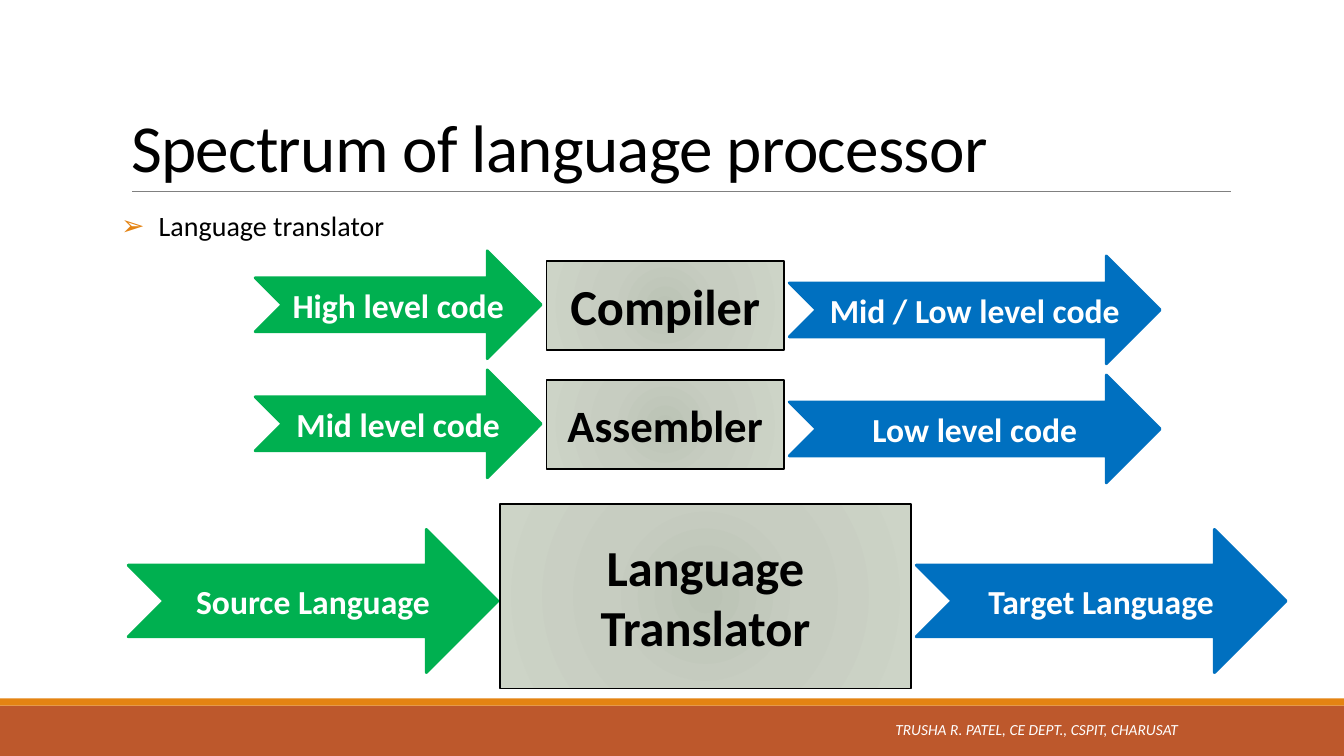
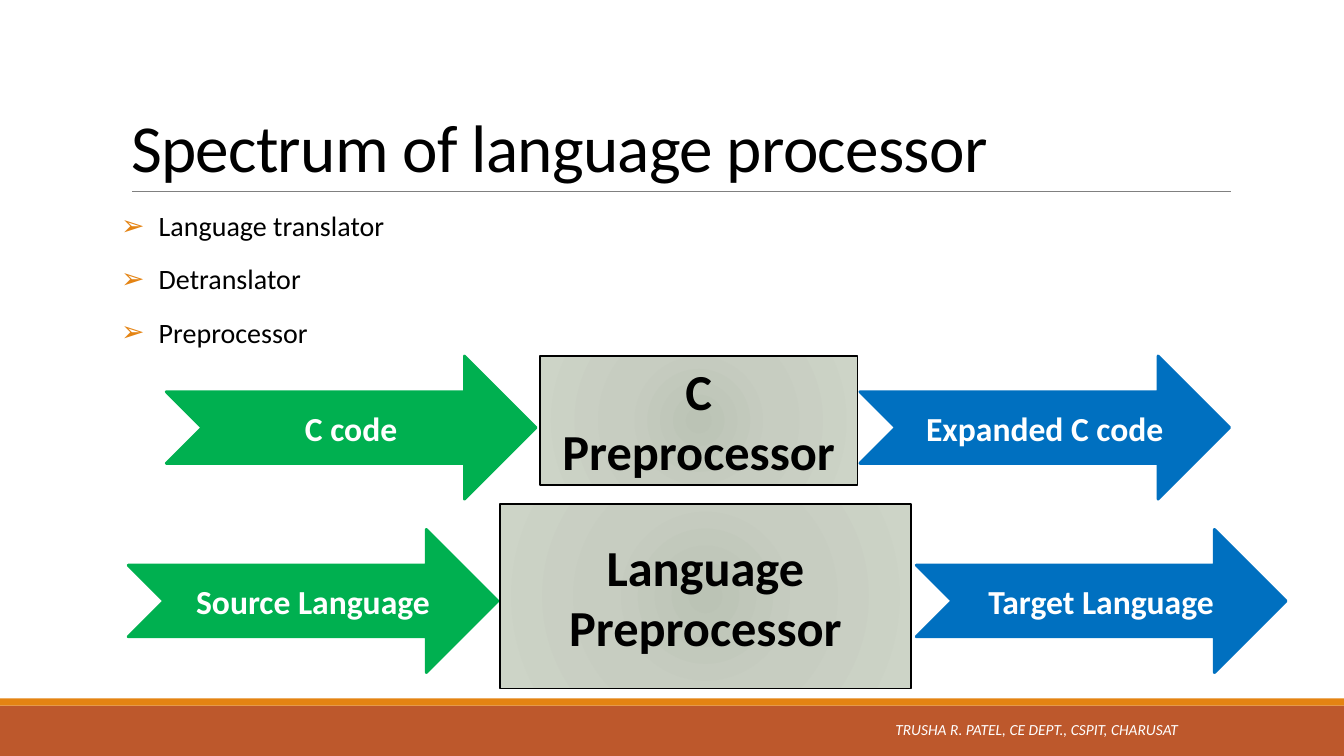
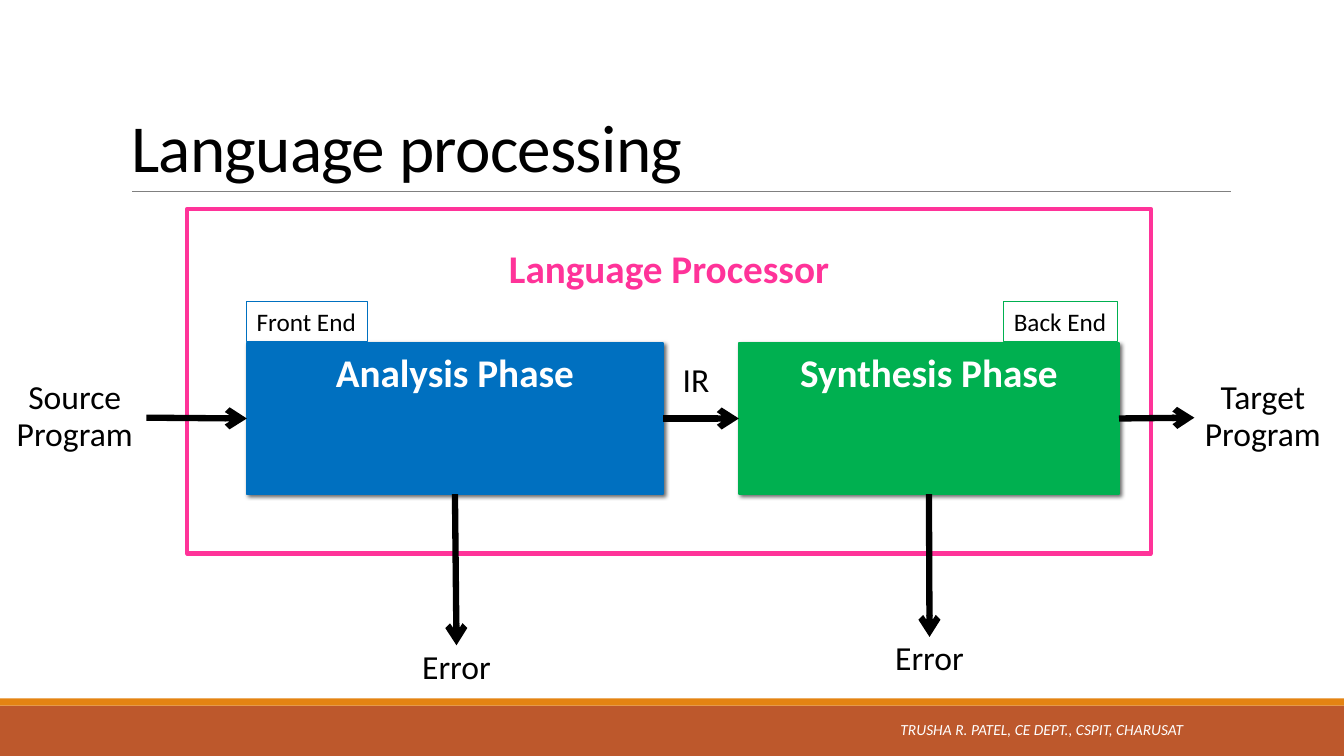
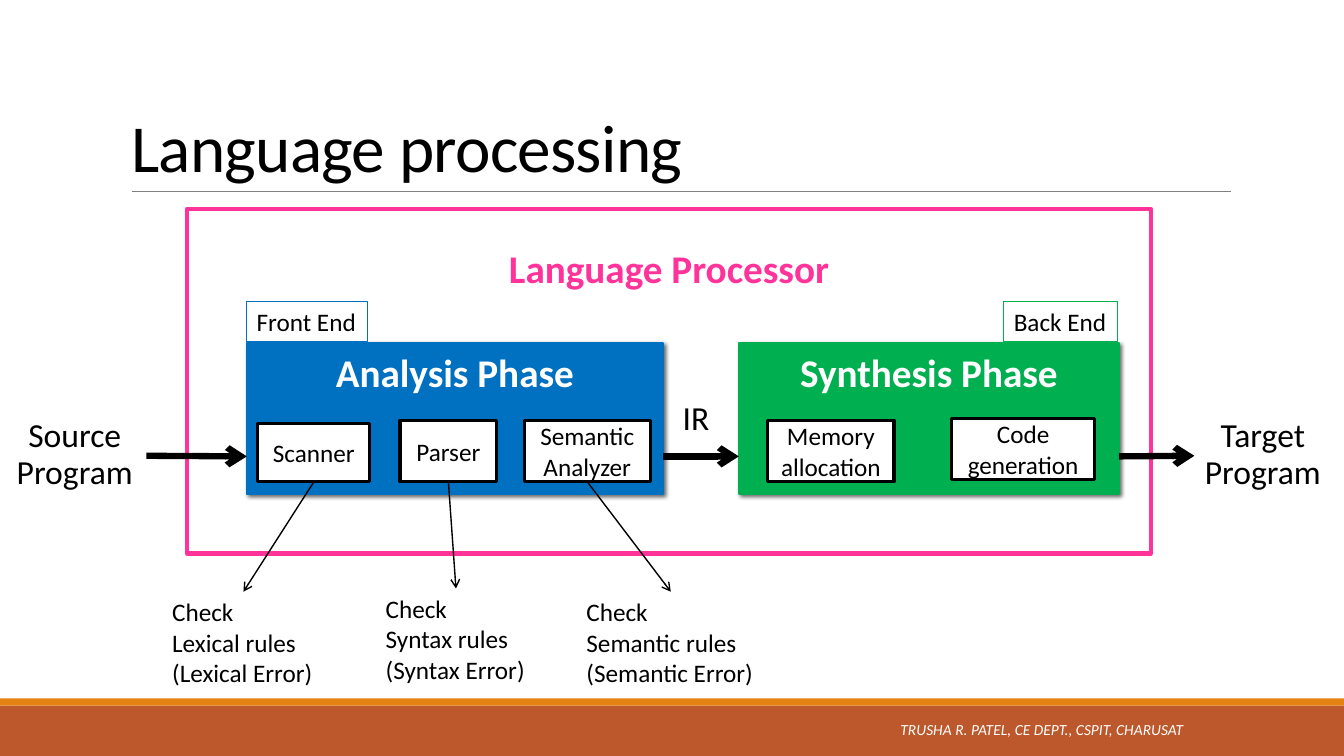
from lxml import etree
from pptx import Presentation, oxml
from pptx import util as u
from pptx.dml.color import RGBColor
from pptx.enum import shapes, text
from pptx.oxml import ns

COLORS = {
    "black": "000000", "white": "FFFFFF", "green": "00B050", "blue": "0070C0",
    "pink": "FF3399", "rust": "BD582C", "orange": "E48312", "gray": "808080",
}
FONT = "Calibri"
RECTANGLE = shapes.MSO_SHAPE.RECTANGLE
ARROW = shapes.MSO_SHAPE.NOTCHED_RIGHT_ARROW
STRAIGHT = shapes.MSO_CONNECTOR.STRAIGHT
CENTER, LEFT, RIGHT = text.PP_ALIGN.CENTER, text.PP_ALIGN.LEFT, text.PP_ALIGN.RIGHT
TOP, MIDDLE, BOTTOM = text.MSO_ANCHOR.TOP, text.MSO_ANCHOR.MIDDLE, text.MSO_ANCHOR.BOTTOM
GRADIENT = (
    f'<a:gradFill {ns.nsdecls("a")} rotWithShape="1"><a:gsLst>'
    '<a:gs pos="0"><a:srgbClr val="BBC3B5"/></a:gs>'
    '<a:gs pos="45000"><a:srgbClr val="C7CDC1"/></a:gs>'
    '<a:gs pos="100000"><a:srgbClr val="CDD4C7"/></a:gs></a:gsLst>'
    '<a:path path="circle"><a:fillToRect l="50000" t="50000" r="50000" b="50000"/></a:path>'
    '</a:gradFill>'
)
SHADOW = (
    f'<a:outerShdw {ns.nsdecls("a")} blurRad="38100" dist="25400" dir="2700000" '
    'algn="ctr" rotWithShape="0">'
    '<a:srgbClr val="000000"><a:alpha val="60000"/></a:srgbClr></a:outerShdw>'
)


def write(shape, words, size=18, color="black", bold=False, italic=False, align=CENTER,
          anchor=MIDDLE, spacing=None, wrap=True):
    frame = shape.text_frame
    frame.word_wrap = wrap
    frame.vertical_anchor = anchor
    frame.text = words
    for paragraph in frame.paragraphs:
        paragraph.alignment = align
        paragraph.line_spacing = spacing
        font = paragraph.runs[0].font
        font.name, font.size, font.bold, font.italic = FONT, u.Pt(size), bold, italic
        font.color.rgb = RGBColor.from_string(COLORS[color])
    return shape


def add_box(slide, kind, left, top, width, height, fill=None, line=None, weight=1):
    place = [u.Cm(value) for value in (left, top, width, height)]
    if kind is None:
        return slide.shapes.add_textbox(*place)
    shape = slide.shapes.add_shape(kind, *place)
    shape.shadow.inherit = False
    if fill:
        shape.fill.solid()
        shape.fill.fore_color.rgb = RGBColor.from_string(COLORS[fill])
    else:
        shape.fill.background()
    if line:
        shape.line.color.rgb = RGBColor.from_string(COLORS[line])
        shape.line.width = u.Pt(weight)
    else:
        shape.line.fill.background()
    return shape


presentation = Presentation()
presentation.slide_width, presentation.slide_height = u.Cm(33.87), u.Cm(19.05)
master = presentation.slide_master
for placeholder, place in zip(master.placeholders, [(3.05, 0.79, 27.94, 4.04),
                                                    (3.05, 5.13, 27.94, 11.18)]):
    placeholder.left, placeholder.top, placeholder.width, placeholder.height = map(u.Cm, place)

slides = []
for title, layout, footer_left in [
    ("Spectrum of language processor", 1, 16.56),
    ("Spectrum of language processor", 1, 16.56),
    ("Language processing", 5, 16.69),
    ("Language processing", 5, 16.69),
]:
    slide = presentation.slides.add_slide(presentation.slide_layouts[layout])
    slides.append(slide)
    heading = write(slide.shapes.title, title, size=48, align=LEFT, anchor=BOTTOM, spacing=0.85)
    heading.text_frame.paragraphs[0].runs[0].font._element.set("spc", "-50")
    footer = add_box(slide, None, footer_left, 17.86, 13.39, 1.02)
    write(footer, "TRUSHA R. PATEL, CE DEPT., CSPIT, CHARUSAT", size=11, color="white",
          italic=True, align=RIGHT)

band = add_box(slides[0], RECTANGLE, 0, 17.78, 33.87, 1.27, fill="rust")
stripe = add_box(slides[0], RECTANGLE, 0, 17.6, 33.87, 0.18, fill="orange")
rule = slides[0].shapes.add_connector(STRAIGHT, u.Cm(3.33), u.Cm(4.83), u.Cm(31.01), u.Cm(4.83))
rule.line.color.rgb = RGBColor.from_string(COLORS["gray"])
rule.line.width = u.Pt(0.5)
etree.SubElement(rule._element.spPr, ns.qn("a:effectLst"))
for index, shape in enumerate([band, stripe, rule]):
    shape._element[0][0].set("id", str(100 + index))
    master.shapes._spTree.insert(2 + index, shape._element)

for slide, topics in [
    (slides[0], "Language translator"),
    (slides[1], "Language translator\nDetranslator\nPreprocessor"),
]:
    body = write(slide.placeholders[1], topics, size=20, align=LEFT, anchor=TOP)
    body.text_frame.margin_left = body.text_frame.margin_right = 0
    for paragraph in body.text_frame.paragraphs:
        paragraph.line_spacing = 1.0
        paragraph.space_before, paragraph.space_after = u.Pt(12), u.Pt(2)
        properties = paragraph._p.get_or_add_pPr()
        properties.set("marL", str(u.Cm(0.95)))
        properties.set("indent", str(-u.Cm(0.95)))
        bullet_color = etree.SubElement(properties, ns.qn("a:buClr"))
        etree.SubElement(bullet_color, ns.qn("a:srgbClr")).set("val", COLORS["orange"])
        etree.SubElement(properties, ns.qn("a:buChar")).set("char", "➢")

big_source, big_box, big_target = (
    (3.23, 13.34, 9.32, 3.61), (12.6, 12.7, 10.36, 4.65), (23.09, 13.34, 9.32, 3.61))
flows = [
    (slides[0], "Source Language", big_source, "Language\nTranslator", big_box, 36,
     "Target Language", big_target),
    (slides[1], "Source Language", big_source, "Language\nPreprocessor", big_box, 36,
     "Target Language", big_target),
    (slides[1], "C code", (4.19, 8.97, 9.32, 3.61),
     "C\nPreprocessor", (13.61, 8.97, 8, 3.25), 36,
     "Expanded C code", (21.67, 8.97, 9.32, 3.61)),
]
for row, (source, tool, size, target) in enumerate([
    ("High level code", "Compiler", 36, "Mid / Low level code"),
    ("Mid level code", "Assembler", 32, "Low level code"),
]):
    drop = 3 * row
    flows.append((slides[0], source, (6.43, 6.32 + drop, 7.21, 2.72),
                  tool, (13.77, 6.58 + drop, 5.99, 2.24), size,
                  target, (19.89, 6.45 + drop, 9.35, 2.72)))

for slide, source, source_place, tool, tool_place, size, target, target_place in flows:
    processor = add_box(slide, RECTANGLE, *tool_place, line="black")
    properties = processor._element.spPr
    properties.replace(properties.find(ns.qn("a:noFill")), oxml.parse_xml(GRADIENT))
    write(processor, tool, size=size, bold=True)
    for words, place, color in [(source, source_place, "green"), (target, target_place, "blue")]:
        arrow = add_box(slide, ARROW, *place, fill=color, line=color, weight=2)
        write(arrow, words, size=24, color="white", bold=True)

arrows = []
for slide, drop in [(slides[2], 0), (slides[3], 0.96)]:
    frame = add_box(slide, RECTANGLE, 4.72, 5.26, 24.28, 8.69, line="pink", weight=3)
    write(frame, "Language Processor", size=28, color="pink", bold=True, anchor=TOP)
    frame.text_frame.margin_top = u.Cm(0.9)

    phases = []
    for words, left, width, color, tag, tag_left, tag_width in [
        ("Analysis Phase", 6.22, 10.49, "blue", "Front End", 6.22, 3.05),
        ("Synthesis Phase", 18.62, 9.58, "green", "Back End", 25.3, 2.87),
    ]:
        phase = add_box(slide, RECTANGLE, left, 8.64, width, 3.81, fill=color, line=color)
        phase._element.spPr.find(ns.qn("a:effectLst")).append(oxml.parse_xml(SHADOW))
        phases.append(write(phase, words, size=28, color="white", bold=True, anchor=TOP))
        label = add_box(slide, RECTANGLE, tag_left, 7.59, tag_width, 1.02, line=color, weight=0.75)
        write(label, tag, align=LEFT, anchor=TOP, wrap=False)
    analysis, synthesis = phases

    labels = []
    for words, left, top, width, height in [
        ("Source\nProgram", 0.08, 9.47, 3.61, 2.11),
        ("Target\nProgram", 30.1, 9.47, 3.45, 2.11),
        ("IR", 16.89, 9.04, 1.3, 1.17),
    ]:
        label = add_box(slide, None, left, top + drop, width, height)
        labels.append(write(label, words, size=24, anchor=TOP, spacing=0.9))
    source, target, _ = labels

    level = 10.54 + drop
    centered = drop == 0
    arrows += [
        (slide, (3.69, level, 6.22, level), (source, 3), (analysis, 1) if centered else None, 4.5),
        (slide, (16.71, level, 18.62, level), (analysis, 3) if centered else None,
         (synthesis, 1) if centered else None, 4.5),
        (slide, (28.2, level, 30.1, level), (synthesis, 3) if centered else None, (target, 1), 4.5),
    ]
    if centered:
        for phase, left, top in [(analysis, 9.7, 16.26), (synthesis, 21.62, 16.05)]:
            error = add_box(slide, None, left, top, 3.61, 1.17)
            write(error, "Error", size=24, anchor=TOP, spacing=0.9)
            arrows.append((slide, (0, 0, 1, 1), (phase, 2), (error, 0), 4.5))

slide = slides[3]
for words, place, check, check_place in [
    ("Scanner", (6.5, 10.67, 2.82, 1.47),
     "Check\nLexical rules\n(Lexical Error)", (4.09, 14.91, 4.09, 2.57)),
    ("Parser", (10.08, 10.59, 2.44, 1.55),
     "Check\nSyntax rules\n(Syntax Error)", (9.47, 14.83, 4.04, 2.57)),
    ("Semantic\nAnalyzer", (13.21, 10.59, 3.18, 1.55),
     "Check\nSemantic rules\n(Semantic Error)", (14.53, 14.91, 4.75, 2.57)),
    ("Memory allocation", (19.35, 10.59, 3.18, 1.55), None, None),
    ("Code generation", (23.98, 10.54, 3.61, 1.55), None, None),
]:
    step = add_box(slide, RECTANGLE, *place, fill="white", line="black", weight=2.25)
    write(step, words)
    if check:
        rules = add_box(slide, None, *check_place)
        write(rules, check, align=LEFT, anchor=TOP, wrap=False)
        arrows.append((slide, (0, 0, 1, 1), (step, 2), (rules, 0), 1))

for slide, ends, begin, end, weight in arrows:
    connector = slide.shapes.add_connector(STRAIGHT, *[u.Cm(value) for value in ends])
    if begin:
        connector.begin_connect(*begin)
    if end:
        connector.end_connect(*end)
    connector.line.color.rgb = RGBColor.from_string(COLORS["black"])
    connector.line.width = u.Pt(weight)
    etree.SubElement(connector.line._get_or_add_ln(), ns.qn("a:tailEnd")).set("type", "arrow")
    etree.SubElement(connector._element.spPr, ns.qn("a:effectLst"))

presentation.save("out.pptx")
